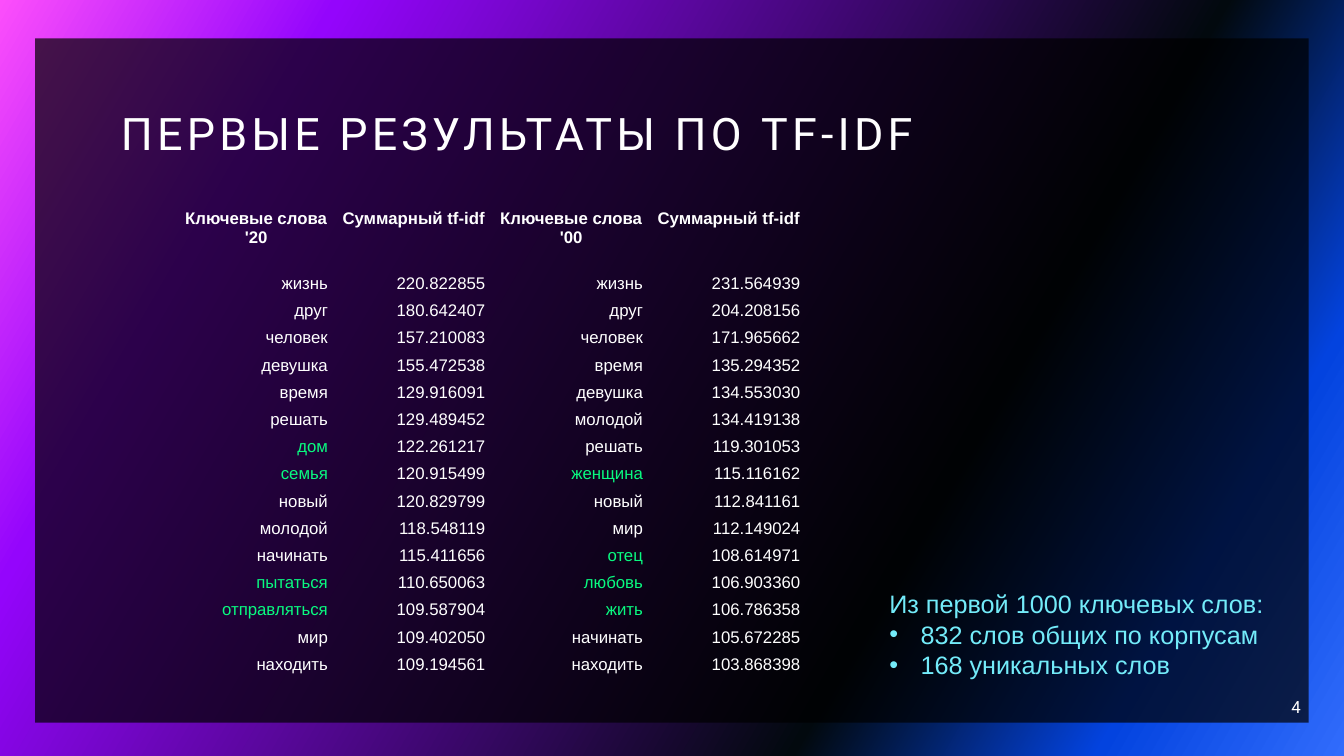
from lxml import etree
from pptx import Presentation
from pptx.dml.color import RGBColor
from pptx.enum.shapes import MSO_SHAPE
from pptx.enum.text import MSO_ANCHOR, MSO_AUTO_SIZE, PP_ALIGN
from pptx.oxml.ns import qn
from pptx.util import Inches, Pt

RECTANGLE = MSO_SHAPE.RECTANGLE
TOP, MIDDLE, BOTTOM = MSO_ANCHOR.TOP, MSO_ANCHOR.MIDDLE, MSO_ANCHOR.BOTTOM
LEFT, CENTER, RIGHT = PP_ALIGN.LEFT, PP_ALIGN.CENTER, PP_ALIGN.RIGHT
NO_AUTO_SIZE = MSO_AUTO_SIZE.NONE

WHITE, BLACK, GREEN, CYAN = "FFFFFF", "000000", "09FA80", "73EBF9"
NO_GRID_STYLE = "{2D5ABB26-0587-4C30-8999-92F81FD0307C}"

GRADIENT = [(0, "316CFC"), (14, "0343DF"), (31, "02090E"), (81, "9405FC"), (100, "FC4EFB")]
HEADERS = ["Ключевые слова '20", "Суммарный tf-idf", "Ключевые слова '00", "Суммарный tf-idf"]
KEYWORDS = [
    ("жизнь", "220.822855", "жизнь", "231.564939"),
    ("друг", "180.642407", "друг", "204.208156"),
    ("человек", "157.210083", "человек", "171.965662"),
    ("девушка", "155.472538", "время", "135.294352"),
    ("время", "129.916091", "девушка", "134.553030"),
    ("решать", "129.489452", "молодой", "134.419138"),
    ("дом", "122.261217", "решать", "119.301053"),
    ("семья", "120.915499", "женщина", "115.116162"),
    ("новый", "120.829799", "новый", "112.841161"),
    ("молодой", "118.548119", "мир", "112.149024"),
    ("начинать", "115.411656", "отец", "108.614971"),
    ("пытаться", "110.650063", "любовь", "106.903360"),
    ("отправляться", "109.587904", "жить", "106.786358"),
    ("мир", "109.402050", "начинать", "105.672285"),
    ("находить", "109.194561", "находить", "103.868398"),
]
UNIQUE_WORDS = {"дом", "семья", "женщина", "отец", "пытаться", "любовь", "отправляться", "жить"}
SUMMARY = ["Из первой 1000 ключевых слов:", "832 слов общих по корпусам", "168 уникальных слов"]


def color(value):
    return RGBColor.from_string(value)


def apply(target, values):
    for name, value in values.items():
        setattr(target, name, value)


class SlideBuilder:
    text_font = "Arial"
    title_font = "Roboto"

    def __init__(self, slide):
        self.slide = slide

    def place(self, shape, left, top, width, height):
        apply(shape, {"left": Inches(left), "top": Inches(top),
                      "width": Inches(width), "height": Inches(height)})

    def add_text(self, paragraph, text, font, size, fill, align=LEFT, bold=False):
        run = paragraph.add_run()
        run.text = text
        paragraph.alignment = align
        apply(run.font, {"name": font, "size": Pt(size), "bold": bold})
        run.font.color.rgb = color(fill)
        return run

    def background(self, stops, angle):
        fill = self.slide.background.fill
        fill.gradient()
        fill.gradient_angle = angle
        stop_list = self.slide.element.find(".//" + qn("a:gsLst"))
        for stop in list(stop_list):
            stop_list.remove(stop)
        for position, value in stops:
            stop = etree.SubElement(stop_list, qn("a:gs"), pos=str(position * 1000))
            etree.SubElement(stop, qn("a:srgbClr"), val=value)

    def panel(self, box, fill, opacity):
        shape = self.slide.shapes.add_shape(RECTANGLE, *map(Inches, box))
        shape.shadow.inherit = False
        shape.fill.solid()
        shape.fill.fore_color.rgb = color(fill)
        shape.line.fill.background()
        value = shape.element.spPr.find(".//" + qn("a:srgbClr"))
        etree.SubElement(value, qn("a:alpha"), val=str(opacity * 1000))
        self.slide.shapes.element.insert(2, shape.element)

    def title(self, text, box):
        shape = self.slide.shapes.title
        self.place(shape, *box)
        apply(shape.text_frame, {"vertical_anchor": BOTTOM, "word_wrap": True,
                                 "auto_size": NO_AUTO_SIZE})
        paragraph = shape.text_frame.paragraphs[0]
        paragraph.line_spacing = 0.9
        run = self.add_text(paragraph, text, self.title_font, 32, WHITE)
        run.font._element.set("spc", "300")

    def summary(self, lines, box):
        shape = self.slide.placeholders[1]
        self.place(shape, *box)
        frame = shape.text_frame
        apply(frame, {"vertical_anchor": TOP, "word_wrap": True, "auto_size": NO_AUTO_SIZE})
        for index, line in enumerate(lines):
            paragraph = frame.add_paragraph() if index else frame.paragraphs[0]
            self.add_text(paragraph, line, self.text_font, 18, CYAN)
            paragraph.space_before = Pt(0)
            properties = paragraph._p.get_or_add_pPr()
            indent = Inches(0.31) if index else 0
            properties.set("marL", str(indent))
            properties.set("indent", str(-indent))
            if index:
                etree.SubElement(properties, qn("a:buFont"), typeface=self.text_font)
                etree.SubElement(properties, qn("a:buChar"), char="•")
            else:
                etree.SubElement(properties, qn("a:buNone"))

    def label(self, text, box):
        shape = self.slide.shapes.add_textbox(*map(Inches, box))
        apply(shape.text_frame, {"vertical_anchor": MIDDLE, "word_wrap": True})
        self.add_text(shape.text_frame.paragraphs[0], text, self.title_font, 12, WHITE, RIGHT)

    def cell(self, cell, text, is_header):
        cell.fill.background()
        apply(cell, {"margin_left": Inches(0.07), "margin_right": Inches(0.07),
                     "margin_top": Inches(0.21 if is_header else 0.03),
                     "margin_bottom": Inches(0.03),
                     "vertical_anchor": TOP if is_header else MIDDLE})
        self.add_text(cell.text_frame.paragraphs[0], text, self.text_font, 12,
                      GREEN if text in UNIQUE_WORDS else WHITE,
                      CENTER if is_header else RIGHT, is_header)

    def table(self, rows, box, header_height, row_height):
        frame = self.slide.shapes.add_table(len(rows), len(rows[0]), *map(Inches, box))
        table = frame.table
        apply(table, {"first_row": False, "horz_banding": False})
        table._tbl.tblPr.find(qn("a:tableStyleId")).text = NO_GRID_STYLE
        for row_index, values in enumerate(rows):
            table.rows[row_index].height = Inches(row_height if row_index else header_height)
            for column_index, text in enumerate(values):
                self.cell(table.cell(row_index, column_index), text, row_index == 0)


def main():
    presentation = Presentation()
    presentation.slide_width = Inches(13.33)
    presentation.slide_height = Inches(7.5)
    builder = SlideBuilder(presentation.slides.add_slide(presentation.slide_layouts[1]))
    builder.background(GRADIENT, 150)
    builder.panel((0.35, 0.38, 12.63, 6.79), BLACK, 70)
    builder.title("ПЕРВЫЕ РЕЗУЛЬТАТЫ ПО TF-IDF", (1.1, 0.38, 11.57, 1.26))
    builder.label("4", (10, 6.81, 3, 0.4))
    builder.table([HEADERS, *KEYWORDS], (1.76, 1.87, 6.25, 4.88), 0.81, 0.27)
    builder.summary(SUMMARY, (8.72, 5.79, 4.99, 1.01))
    presentation.save("out.pptx")


if __name__ == "__main__":
    main()
